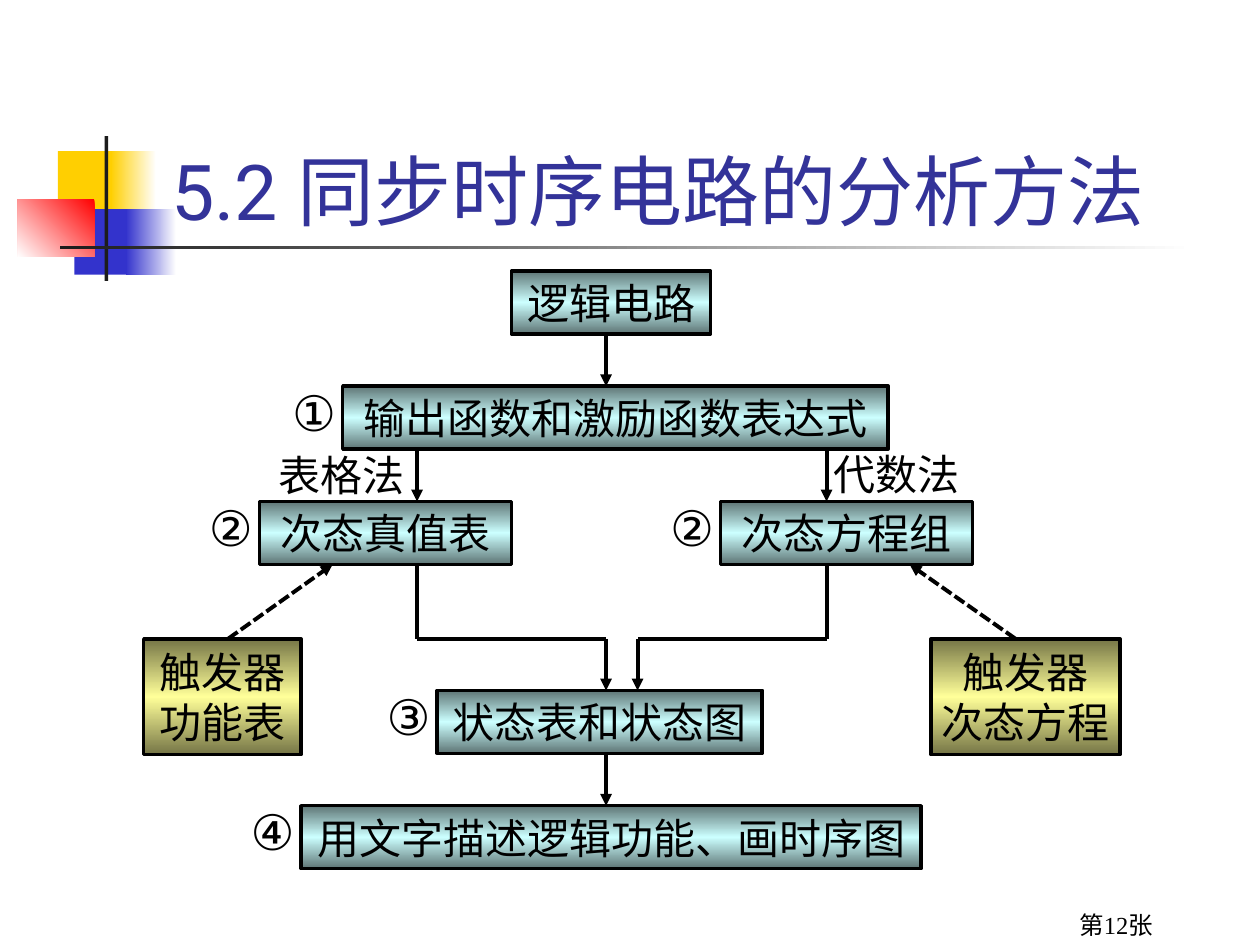
from lxml.etree import SubElement
from pptx import Presentation
from pptx.dml.color import RGBColor
from pptx.enum.dml import MSO_LINE_DASH_STYLE as DASH
from pptx.enum.shapes import MSO_CONNECTOR_TYPE as LINK, MSO_SHAPE as SHAPE
from pptx.enum.text import MSO_ANCHOR as ANCHOR, MSO_AUTO_SIZE as FIT, PP_ALIGN as ALIGN
from pptx.oxml.ns import qn
from pptx.util import Inches, Pt

BLACK, INK, WHITE = "000000", "1C1C1C", "FFFFFF"
YELLOW, BLUE, RED = "FFCF01", "3333CC", "FF0000"
TEAL = ["5E7575", "CCFFFF", "5E7575"]
OLIVE = ["757546", "FFFF99", "757546"]
ROW_PITCH, BOX_HEIGHT = 0.915, 0.5
CIRCUIT, FUNCTIONS, NEXT_STATE = (2.15 + ROW_PITCH * row for row in range(3))
STATES, DESCRIPTION = (5.48 + ROW_PITCH * row for row in range(2))
BEND = 5.07
MIDDLE, TABLE_COLUMN, ALGEBRA_COLUMN, RETURN_COLUMN = 4.81, 3.31, 6.56, 5.06


def color(code):
    """Turn a hex string into a colour."""
    return RGBColor.from_string(code)


def paint(shape, colors, angle):
    """Fill a shape with one colour, or with evenly spaced gradient stops."""
    if len(colors) == 1:
        shape.fill.solid()
        shape.fill.fore_color.rgb = color(colors[0])
        return
    shape.fill.gradient()
    shape.fill.gradient_angle = angle
    stops = next(shape._element.spPr.iter(qn("a:gsLst")))
    for stop in list(stops):
        stops.remove(stop)
    for place, code in enumerate(colors):
        position = str(100000 * place // (len(colors) - 1))
        stop = SubElement(stops, qn("a:gs"), pos=position)
        SubElement(stop, qn("a:srgbClr"), val=code)


def write(shape, text, size, font="Roboto", ink=BLACK, align=ALIGN.LEFT,
          anchor=ANCHOR.TOP, wrap=False):
    """Write the lines of text into a shape, one paragraph each."""
    frame = shape.text_frame
    frame.text = text
    frame.word_wrap = wrap
    frame.vertical_anchor = anchor
    for paragraph in frame.paragraphs:
        paragraph.alignment = align
        paragraph.font.size = Pt(size)
        paragraph.font.name = font
        paragraph.font.color.rgb = color(ink)


def block(slide, left, top, width, height, colors, angle=90):
    """Add a borderless rectangle."""
    shape = slide.shapes.add_shape(
        SHAPE.RECTANGLE, *map(Inches, (left, top, width, height)))
    shape.shadow.inherit = False
    paint(shape, colors, angle)
    shape.line.fill.background()
    return shape


def box(slide, left, top, width, text, height=BOX_HEIGHT, colors=TEAL):
    """Add a bordered flowchart box with centred text."""
    shape = block(slide, left, top, width, height, colors)
    shape.line.fill.solid()
    shape.line.color.rgb = color(BLACK)
    shape.line.width = Pt(2)
    write(shape, text, 24, align=ALIGN.CENTER, anchor=ANCHOR.MIDDLE)


def label(slide, left, top, width, height, text, size, grow=True, **style):
    """Add free text."""
    shape = slide.shapes.add_textbox(*map(Inches, (left, top, width, height)))
    write(shape, text, size, **style)
    shape.text_frame.auto_size = FIT.SHAPE_TO_FIT_TEXT if grow else FIT.NONE


def path_line(slide, *points, dotted=False):
    """Join points with straight lines, ending in an arrowhead."""
    for start, end in zip(points, points[1:]):
        link = slide.shapes.add_connector(
            LINK.STRAIGHT, *map(Inches, (*start, *end)))
        link.line.color.rgb = color(BLACK)
        link.line.width = Pt(2.25)
        if dotted:
            link.line.dash_style = DASH.SQUARE_DOT
        if end == points[-1]:
            SubElement(link.line._get_or_add_ln(), qn("a:tailEnd"), type="triangle")
        SubElement(link._element.spPr, qn("a:effectLst"))


def decorate(slide):
    """Draw the coloured squares and the rules beside the title."""
    block(slide, 0.46, 1.2, 0.48, 0.52, [YELLOW])
    block(slide, 0.88, 1.2, 0.36, 0.52, [WHITE, YELLOW], 180)
    block(slide, 0.59, 1.66, 0.46, 0.52, [BLUE])
    block(slide, 1, 1.66, 0.4, 0.52, [WHITE, BLUE], 180)
    block(slide, 0.14, 1.58, 0.61, 0.46, [RED, WHITE], 225)
    block(slide, 0.83, 1.08, 0.03, 1.15, [INK])
    block(slide, 0.48, 1.95, 9, 0.03, [WHITE, INK], 180)


def draw_steps(slide):
    """Draw the numbered steps and the two flip-flop inputs."""
    box(slide, 4.06, CIRCUIT, 1.58, "逻辑电路")
    for mark, left, top, width, text in [
        ("①", 2.72, FUNCTIONS, 4.33, "输出函数和激励函数表达式"),
        ("②", 2.06, NEXT_STATE, 2, "次态真值表"),
        ("②", 5.72, NEXT_STATE, 2, "次态方程组"),
        ("③", 3.47, STATES, 2.58, "状态表和状态图"),
        ("④", 2.39, DESCRIPTION, 4.92, "用文字描述逻辑功能、画时序图"),
    ]:
        box(slide, left, top, width, text)
        label(slide, left - 0.5, top - 0.08, 0.59, 0.57, mark, 28)
    box(slide, 1.14, BEND, 1.25, "触发器\n功能表", 0.92, OLIVE)
    box(slide, 7.39, BEND, 1.5, "触发器\n次态方程", 0.92, OLIVE)
    label(slide, 2.11, 3.52, 1.2, 0.5, "表格法", 24)
    label(slide, 6.52, 3.51, 1.2, 0.5, "代数法", 24)


def draw_flow(slide):
    """Draw the arrows between the steps."""
    for column, top, bottom in [
        (MIDDLE, CIRCUIT, FUNCTIONS),
        (TABLE_COLUMN, FUNCTIONS, NEXT_STATE),
        (ALGEBRA_COLUMN, FUNCTIONS, NEXT_STATE),
        (MIDDLE, STATES, DESCRIPTION),
    ]:
        path_line(slide, (column, top + BOX_HEIGHT), (column, bottom))
    leaving = NEXT_STATE + BOX_HEIGHT
    for column, target in [(TABLE_COLUMN, MIDDLE), (ALGEBRA_COLUMN, RETURN_COLUMN)]:
        path_line(slide, (column, leaving), (column, BEND), (target, BEND),
                  (target, STATES))
    for source, target in [(1.81, 2.64), (8.06, 7.22)]:
        path_line(slide, (source, BEND), (target, leaving), dotted=True)


def main():
    """Build the slide on the analysis of synchronous circuits."""
    deck = Presentation()
    deck.slide_width, deck.slide_height = Inches(10), Inches(7.5)
    slide = deck.slides.add_slide(deck.slide_layouts[6])
    decorate(slide)
    label(slide, 1.26, 0.67, 8.52, 1.25, "5.2 同步时序电路的分析方法", 44,
          grow=False, ink="333399", anchor=ANCHOR.BOTTOM, wrap=True)
    label(slide, 7.17, 7.17, 2.08, 0.33, "第12张", 14, grow=False,
          font="Times New Roman", align=ALIGN.RIGHT, wrap=True)
    draw_steps(slide)
    draw_flow(slide)
    deck.save("out.pptx")


if __name__ == "__main__":
    main()
